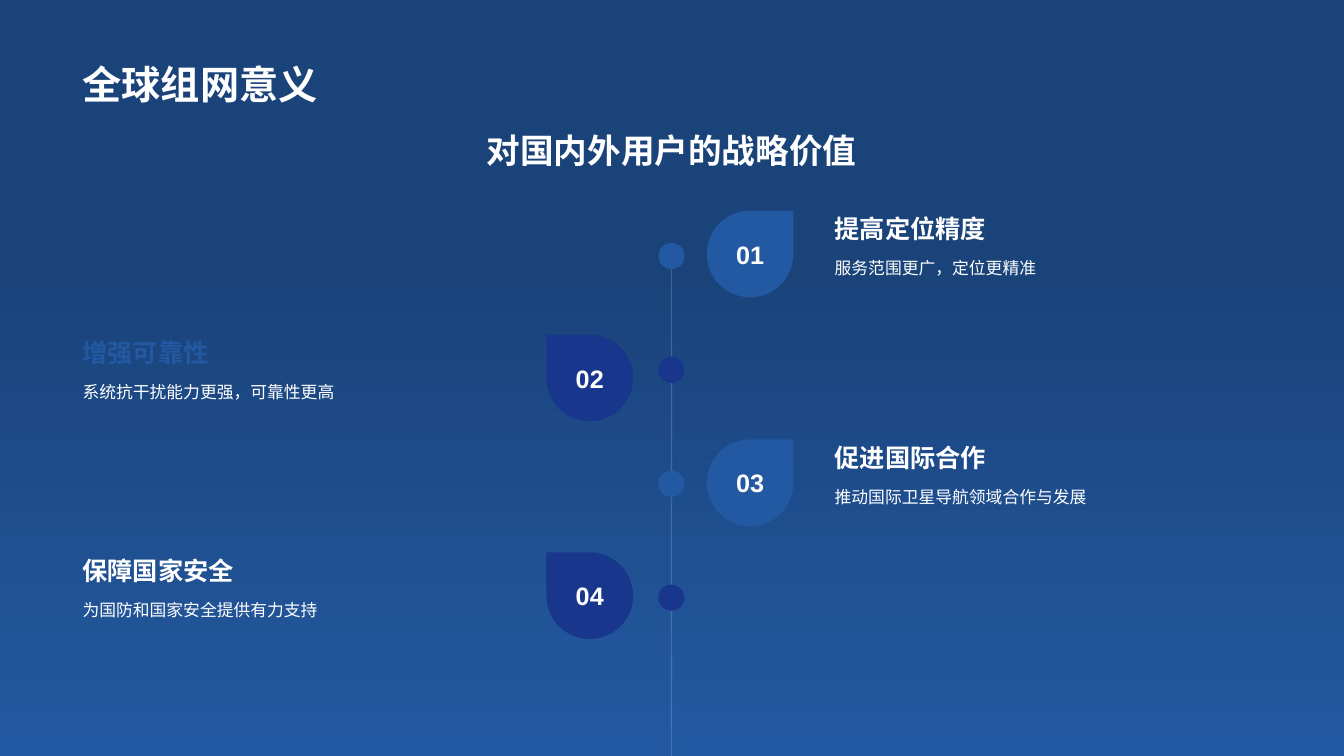
from dataclasses import dataclass

from lxml import etree
from pptx import Presentation
from pptx import util as u
from pptx.dml.color import RGBColor
from pptx.enum import lang, shapes, text
from pptx.oxml.ns import qn


@dataclass(frozen=True)
class Theme:
    font: str = "Arial"
    white: str = "FFFFFF"
    blue: str = "2359A2"
    indigo: str = "19368D"
    navy: str = "1A437A"
    title: int = 28
    subtitle: int = 24
    heading: int = 18
    body: int = 12


THEME = Theme()

# Number, heading, text, teardrop top, heading colour; odd numbers sit on the right
MILESTONES = [
    ("01", "提高定位精度", "服务范围更广，定位更精准", 2.09, THEME.white),
    ("02", "增强可靠性", "系统抗干扰能力更强，可靠性更高", 3.32, THEME.blue),
    ("03", "促进国际合作", "推动国际卫星导航领域合作与发展", 4.36, THEME.white),
    ("04", "保障国家安全", "为国防和国家安全提供有力支持", 5.48, THEME.white),
]
DOT_PITCH = 1.13


def write(shape, words, size, color=THEME.white, bold=False,
          align=text.PP_ALIGN.LEFT, anchor=text.MSO_ANCHOR.TOP, spacing=None):
    frame = shape.text_frame
    frame.text = words
    frame.word_wrap = True
    frame.auto_size = text.MSO_AUTO_SIZE.NONE
    frame.vertical_anchor = anchor
    para = frame.paragraphs[0]
    para.alignment = align
    para.line_spacing = spacing
    span = para.runs[0]
    span.font.name = THEME.font
    span.font.size = u.Pt(size)
    span.font.bold = bold
    span.font.color.rgb = RGBColor.from_string(color)
    span.font.language_id = lang.MSO_LANGUAGE_ID.SIMPLIFIED_CHINESE
    east_asian = etree.SubElement(span.font._element, qn("a:ea"))
    east_asian.set("typeface", THEME.font)


def add_text(page, box, words, size, **style):
    write(page.shapes.add_textbox(*map(u.Inches, box)), words, size, **style)


def add_solid(page, kind, box, color, flipped):
    shape = page.shapes.add_shape(kind, *map(u.Inches, box))
    shape.shadow.inherit = False
    shape.fill.solid()
    shape.fill.fore_color.rgb = RGBColor.from_string(color)
    shape.line.fill.background()
    if flipped:
        shape._element.spPr.find(qn("a:xfrm")).set("flipH", "1")
    return shape


def paint_background(page):
    fill = page.background.fill
    fill.gradient()
    fill.gradient_angle = 270
    for stop, position, color in zip(fill.gradient_stops, (0.35, 1),
                                     (THEME.navy, THEME.blue)):
        stop.position = position
        stop.color.rgb = RGBColor.from_string(color)


def add_header(page, box):
    left, top, width, height = box
    title = page.shapes.title
    title.left, title.top, title.width, title.height = map(
        u.Inches, (left, top, width, 0.98))
    write(title, "全球组网意义", THEME.title, bold=True,
          anchor=text.MSO_ANCHOR.BOTTOM)
    add_text(page, (left, top + height - 0.5, width, 0.5),
             "对国内外用户的战略价值", THEME.subtitle, bold=True,
             align=text.PP_ALIGN.CENTER)


def add_axis(page, x, top, bottom):
    axis = page.shapes.add_connector(
        shapes.MSO_CONNECTOR.STRAIGHT, *map(u.Inches, (x, top, x, bottom)))
    axis.line.width = u.Pt(1)
    axis.line.color.rgb = RGBColor.from_string(THEME.white)
    color = axis._element.spPr.find(".//" + qn("a:srgbClr"))
    etree.SubElement(color, qn("a:alpha")).set("val", "16000")
    etree.SubElement(axis._element.spPr, qn("a:effectLst"))


def add_milestone(page, box, milestone, drop_left, on_left):
    number, heading, body, drop_top, heading_color = milestone
    left, top, width = box
    # Heading and description
    add_text(page, (left, top, width, 0.55), heading, THEME.heading,
             color=heading_color, bold=True, anchor=text.MSO_ANCHOR.BOTTOM)
    add_text(page, (left, top + 0.55, width, 0.84), body, THEME.body,
             spacing=1.2)
    # Numbered teardrop
    drop = add_solid(page, shapes.MSO_SHAPE.TEAR,
                     (drop_left, drop_top, 0.86, 0.86),
                     THEME.indigo if on_left else THEME.blue, on_left)
    frame = drop.text_frame
    frame.margin_left = frame.margin_right = 0
    frame.margin_top = frame.margin_bottom = 0
    write(drop, number, THEME.heading, bold=True,
          align=text.PP_ALIGN.CENTER, anchor=text.MSO_ANCHOR.MIDDLE)


def add_timeline(page, box):
    left, top, width, height = box
    middle = left + width / 2
    add_axis(page, middle, top, top + height)
    for index, milestone in enumerate(MILESTONES):
        on_left = index % 2 == 1
        text_left, text_width, drop_left = (
            (left, 4.39, 5.42) if on_left else (8.18, 4.42, 7.01))
        add_milestone(page, (text_left, milestone[3] - 0.17, text_width),
                      milestone, drop_left, on_left)
        # Dot on the axis
        add_solid(page, shapes.MSO_SHAPE.OVAL,
                  (middle - 0.13, top + index * DOT_PITCH, 0.26, 0.26),
                  THEME.indigo if on_left else THEME.blue, on_left)


def main():
    deck = Presentation()
    deck.slide_width, deck.slide_height = u.Inches(13.33), u.Inches(7.5)
    page = deck.slides.add_slide(deck.slide_layouts[5])
    paint_background(page)
    add_header(page, (0.72, 0.14, 11.88, 1.6))
    add_timeline(page, (0.72, 2.41, 11.88, 5.09))
    deck.save("out.pptx")


if __name__ == "__main__":
    main()
